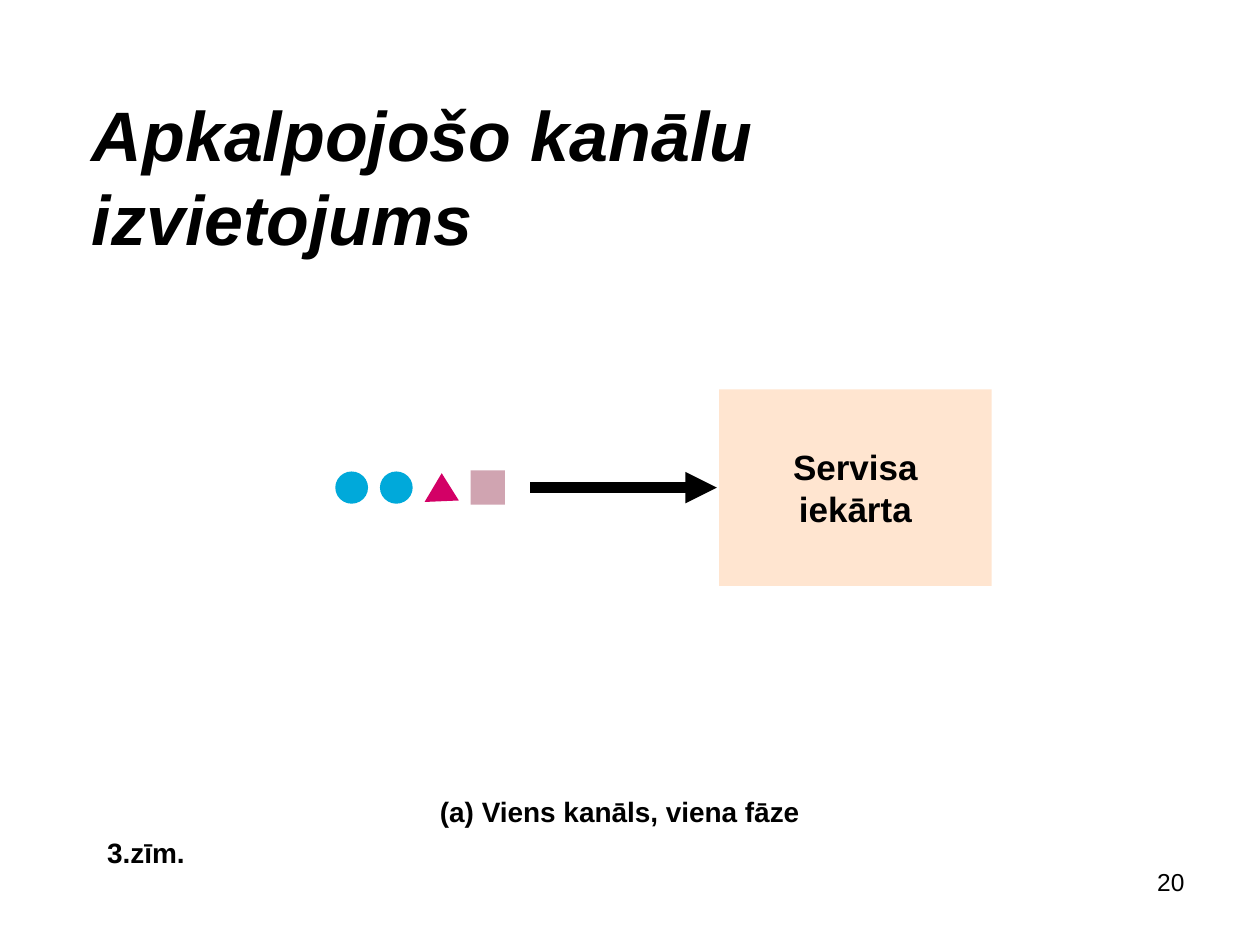
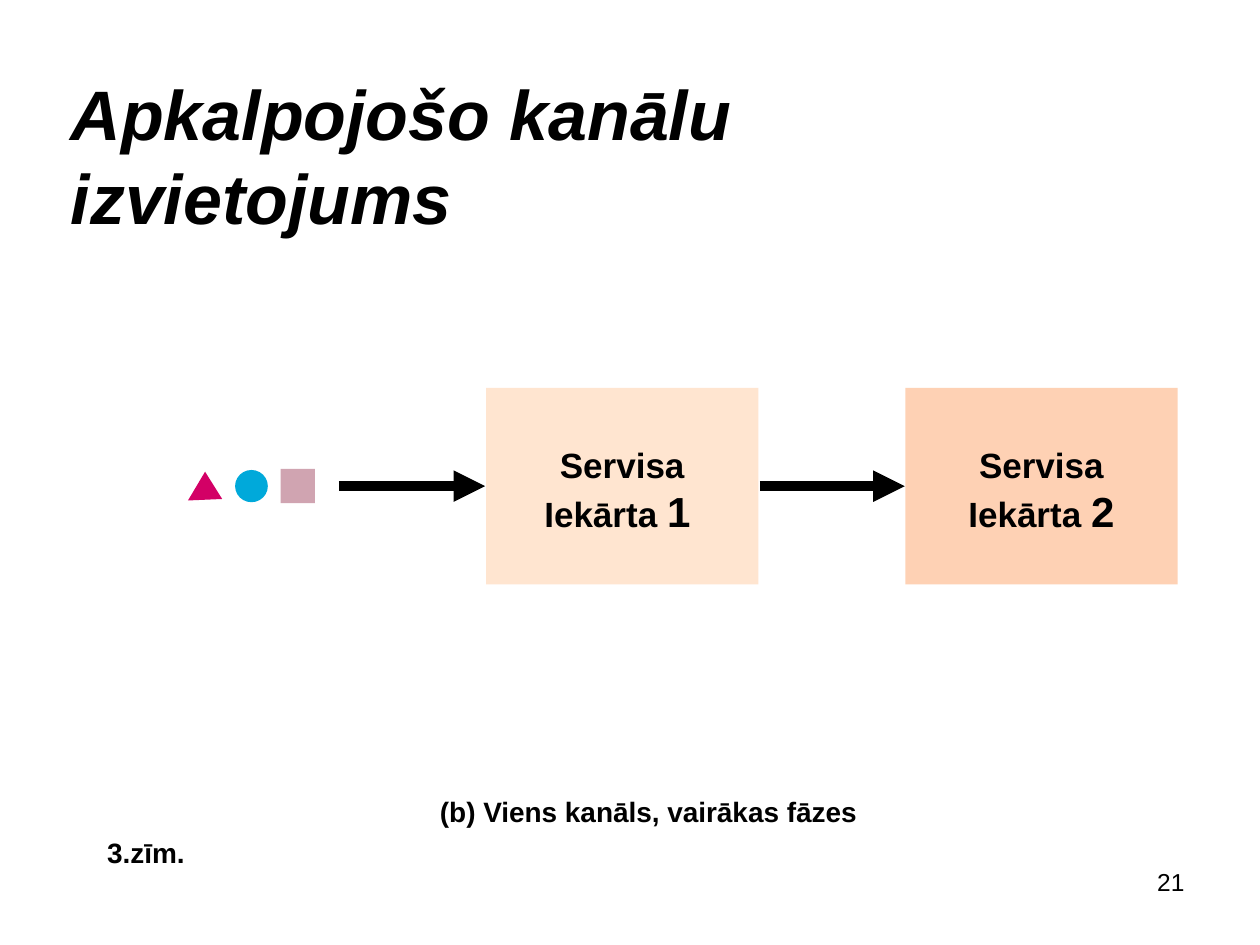
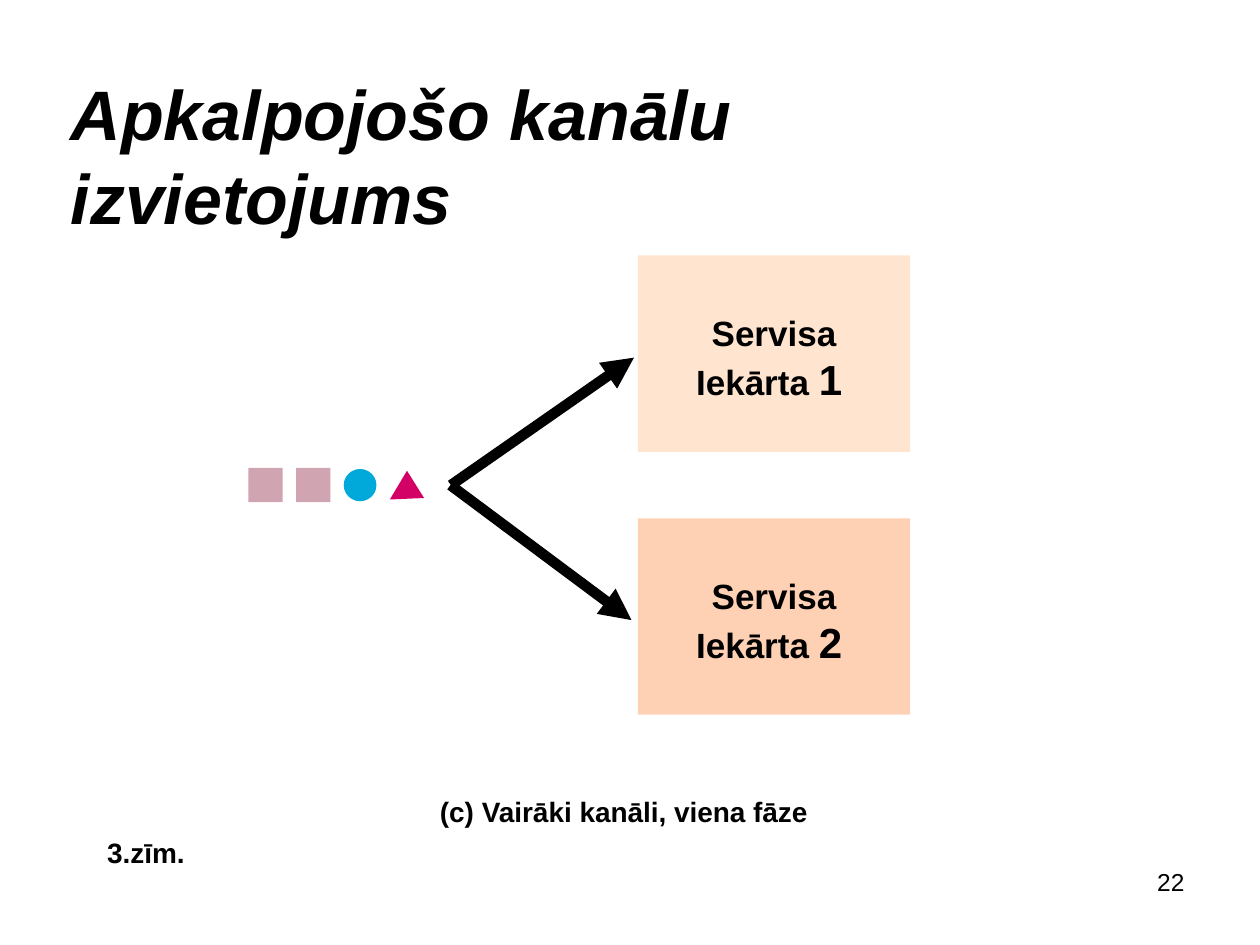
from lxml import etree
from pptx import Presentation
from pptx.dml.color import RGBColor
from pptx.enum.shapes import MSO_CONNECTOR, MSO_SHAPE
from pptx.enum.text import MSO_ANCHOR, MSO_AUTO_SIZE, PP_ALIGN
from pptx.oxml.ns import qn
from pptx.util import Cm, Pt

STRAIGHT = MSO_CONNECTOR.STRAIGHT
OVAL, RECTANGLE = MSO_SHAPE.OVAL, MSO_SHAPE.RECTANGLE
MIDDLE = MSO_ANCHOR.MIDDLE
FIXED, GROW = MSO_AUTO_SIZE.NONE, MSO_AUTO_SIZE.SHAPE_TO_FIT_TEXT
LEFT, CENTER, RIGHT = PP_ALIGN.LEFT, PP_ALIGN.CENTER, PP_ALIGN.RIGHT

BLACK = RGBColor(0x00, 0x00, 0x00)
BLUE = RGBColor(0x00, 0xA9, 0xDA)
CRIMSON = RGBColor(0xD3, 0x00, 0x66)
MAUVE = RGBColor(0xD0, 0xA4, 0xB1)
PEACH = RGBColor(0xFF, 0xE5, 0xD0)
APRICOT = RGBColor(0xFE, 0xD1, 0xB4)
FONT = "Arial"

TITLE = [[("Apkalpojošo kanālu ", 40), ("\v", 40), ("izvietojums", 40)]]
FIGURE = "3.zīm."
STATION = ["Servisa", "iekārta"]
STATION_1 = ["Servisa", [("Iekārta ", 20), ("1", 24), (" ", 20)]]
STATION_2 = ["Servisa", [("Iekārta ", 20), ("2", 24)]]
STATION_2_SPACED = ["Servisa", [("Iekārta ", 20), ("2", 24), (" ", 20)]]

LAYOUTS = [
    {
        "number": "20",
        "title_at": (1.6, 2.39),
        "caption": ("(a) Viens kanāls, viena fāze", 7.8),
        "queue": ["circle", "circle", "triangle", "square"],
        "queue_at": (6.76, 9.83),
        "queue_gap": 0.24,
        "stations": [(STATION, PEACH, 14.5, 7.85)],
        "arrows": [(10.69, 9.83, 14.45, 9.83)],
    },
    {
        "number": "21",
        "title_at": (1.17, 1.96),
        "caption": ("(b) Viens kanāls, vairākas fāzes", 8.95),
        "queue": ["triangle", "circle", "square"],
        "queue_at": (3.79, 9.8),
        "queue_gap": 0.26,
        "stations": [(STATION_1, PEACH, 9.8, 7.82), (STATION_2, APRICOT, 18.25, 7.82)],
        "arrows": [(6.83, 9.8, 9.78, 9.8), (15.32, 9.8, 18.24, 9.8)],
    },
    {
        "number": "22",
        "title_at": (1.17, 1.96),
        "caption": ("(c) Vairāki kanāli, viena fāze", 7.98),
        "queue": ["square", "square", "circle", "triangle"],
        "queue_at": (5.01, 9.78),
        "queue_gap": 0.27,
        "stations": [(STATION_1, PEACH, 12.86, 5.15), (STATION_2_SPACED, APRICOT, 12.86, 10.45)],
        "arrows": [(9.08, 9.78, 12.73, 12.5), (9.09, 9.78, 12.78, 7.21)],
    },
]

CUSTOMERS = {
    "circle": (0.66, 0.65, BLUE),
    "triangle": (0.69, 0.58, CRIMSON),
    "square": (0.69, 0.69, MAUVE),
}
STATION_WIDTH, STATION_HEIGHT = 5.49, 3.96
LABEL_WIDTH, LABEL_HEIGHT, LABEL_DROP = 3.91, 2.13, 1


def write(frame, lines, size=20, bold=True, italic=False, align=LEFT, wrap=True, fit=GROW):
    frame.word_wrap = wrap
    frame.auto_size = fit
    for index, line in enumerate(lines):
        paragraph = frame.add_paragraph() if index else frame.paragraphs[0]
        paragraph.alignment = align
        for words, run_size in [(line, size)] if isinstance(line, str) else line:
            if words == "\v":
                paragraph.add_line_break()
                continue
            run = paragraph.add_run()
            run.text = words
            font = run.font
            font.name, font.size, font.bold, font.italic = FONT, Pt(run_size), bold, italic
            font.color.rgb = BLACK


def add_label(slide, lines, left, top, width, height, **style):
    box = slide.shapes.add_textbox(Cm(left), Cm(top), Cm(width), Cm(height))
    write(box.text_frame, lines, **style)


def paint(shape, color):
    shape.shadow.inherit = False
    shape.fill.solid()
    shape.fill.fore_color.rgb = color
    shape.line.fill.background()


def add_title(slide, left, top):
    title = slide.shapes.title
    title.left, title.top, title.width, title.height = Cm(left), Cm(top), Cm(23.19), Cm(2.29)
    title.text_frame.vertical_anchor = MIDDLE
    write(title.text_frame, TITLE, italic=True, fit=FIXED)


def add_queue(slide, customers, left, middle, gap):
    for kind in customers:
        width, height, color = CUSTOMERS[kind]
        top = middle - height / 2
        if kind == "triangle":
            outline = slide.shapes.build_freeform(Cm(left), Cm(top + height))
            outline.add_line_segments(
                [(Cm(left + width / 2), Cm(top)), (Cm(left + width), Cm(top + height - 0.03))]
            )
            customer = outline.convert_to_shape()
        else:
            preset = OVAL if kind == "circle" else RECTANGLE
            customer = slide.shapes.add_shape(preset, Cm(left), Cm(top), Cm(width), Cm(height))
        paint(customer, color)
        left += width + gap


def add_station(slide, name, color, left, top):
    station = slide.shapes.add_shape(
        RECTANGLE, Cm(left), Cm(top), Cm(STATION_WIDTH), Cm(STATION_HEIGHT)
    )
    paint(station, color)
    label_left = left + (STATION_WIDTH - LABEL_WIDTH) / 2
    add_label(slide, name, label_left, top + LABEL_DROP, LABEL_WIDTH, LABEL_HEIGHT, align=CENTER)


def add_arrow(slide, *ends):
    arrow = slide.shapes.add_connector(STRAIGHT, *map(Cm, ends))
    arrow.line.color.rgb = BLACK
    arrow.line.width = Pt(6)
    etree.SubElement(arrow.line._get_or_add_ln(), qn("a:tailEnd"), type="triangle")
    etree.SubElement(arrow._element.spPr, qn("a:effectLst"))


def main():
    deck = Presentation()
    deck.slide_width, deck.slide_height = Cm(25.4), Cm(19.05)
    for layout in LAYOUTS:
        slide = deck.slides.add_slide(deck.slide_layouts[5])
        add_title(slide, *layout["title_at"])
        add_queue(slide, layout["queue"], *layout["queue_at"], layout["queue_gap"])
        for arrow in layout["arrows"]:
            add_arrow(slide, *arrow)
        for station in layout["stations"]:
            add_station(slide, *station)
        caption, caption_width = layout["caption"]
        add_label(slide, [caption], 8.62, 15.9, caption_width, 0.94, size=16, wrap=False)
        add_label(slide, [FIGURE], 1.91, 16.71, 2.15, 0.94, size=16, wrap=False)
        add_label(slide, [layout["number"]], 18.21, 17.35, 5.92, 1.32,
                  size=14, bold=False, align=RIGHT, fit=FIXED)
    deck.save("out.pptx")


if __name__ == "__main__":
    main()
